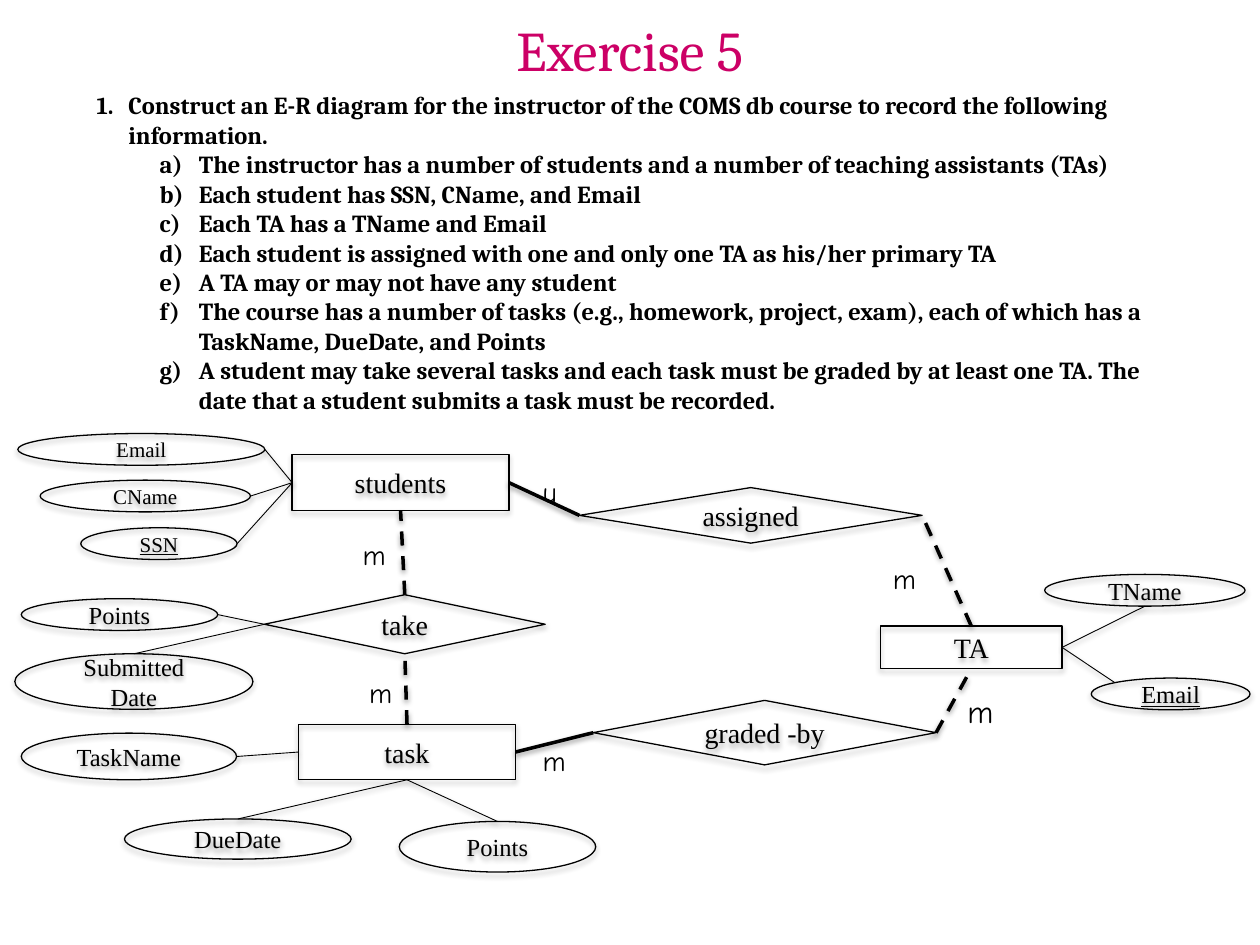
import pptx
import pptx.util
import pptx.dml.color
import pptx.enum.dml
import pptx.enum.shapes
import pptx.enum.text
import pptx.oxml
import pptx.oxml.ns

Cm = pptx.util.Cm
Pt = pptx.util.Pt
Shape = pptx.enum.shapes.MSO_SHAPE
Align = pptx.enum.text.PP_ALIGN
Anchor = pptx.enum.text.MSO_ANCHOR
COLORS = {"ink": "000000", "title": "CC0066"}
SERIF = "Times New Roman"
TOP, LEFT, BOTTOM, RIGHT = range(4)


def write(box, text, font=SERIF, size=16, color="ink", bold=False,
          underline=False, align=Align.CENTER, anchor=Anchor.MIDDLE):
    frame = box.text_frame
    frame.word_wrap = True
    frame.auto_size = pptx.enum.text.MSO_AUTO_SIZE.NONE
    frame.vertical_anchor = anchor
    for index, line in enumerate(text.split("\n")):
        para = frame.add_paragraph() if index else frame.paragraphs[0]
        para.alignment = align
        span = para.add_run()
        span.text = line
        span.font.name = font
        span.font.size = Pt(size)
        span.font.bold = bold
        span.font.underline = underline
        span.font.color.rgb = pptx.dml.color.RGBColor.from_string(COLORS[color])
    return frame


def outline(shape, width, distance, opacity):
    shape.line.color.rgb = pptx.dml.color.RGBColor.from_string(COLORS["ink"])
    shape.line.width = Pt(width)
    shape.element.spPr.append(pptx.oxml.parse_xml(
        f'<a:effectLst {pptx.oxml.ns.nsdecls("a")}>'
        f'<a:outerShdw blurRad="{Pt(3.1)}" dist="{Pt(distance)}" dir="5400000" rotWithShape="0">'
        f'<a:srgbClr val="{COLORS["ink"]}"><a:alpha val="{opacity * 1000}"/></a:srgbClr>'
        '</a:outerShdw></a:effectLst>'))


deck = pptx.Presentation()
deck.slide_width, deck.slide_height = Cm(25.4), Cm(19.05)
page = deck.slides.add_slide(deck.slide_layouts[5])

title = page.shapes.title
title.left, title.top, title.width, title.height = Cm(1.9), Cm(0.43), Cm(21.6), Cm(1.12)
write(title, "Exercise 5", font="Cambria", size=32, color="title")

requirements = [
    "Construct an E-R diagram for the instructor of the COMS db course to record the following information.",
    "The instructor has a number of students and a number of teaching assistants (TAs)",
    "Each student has SSN, CName, and Email",
    "Each TA has a TName and Email",
    "Each student is assigned with one and only one TA as his/her primary TA",
    "A TA may or may not have any student",
    "The course has a number of tasks (e.g., homework, project, exam), each of which has a TaskName, DueDate, and Points",
    "A student may take several tasks and each task must be graded by at least one TA. "
    "The date that a student submits a task must be recorded.",
]
box = page.shapes.add_textbox(Cm(1.7), Cm(1.7), Cm(22.02), Cm(6.83))
frame = write(box, "\n".join(requirements), font="Cambria", size=14, bold=True,
              align=Align.LEFT, anchor=Anchor.TOP)
for index, para in enumerate(frame.paragraphs):
    para.level = 1 if index else 0
    margin, hanging, numbering = (2.06, 0.79, "alphaLcParenR") if index else (0.64, 0.64, "arabicPeriod")
    properties = para._p.get_or_add_pPr()
    properties.set("marL", str(Cm(margin)))
    properties.set("indent", str(-Cm(hanging)))
    properties.append(pptx.oxml.parse_xml(
        f'<a:buFont {pptx.oxml.ns.nsdecls("a")} typeface="+mj-lt"/>'))
    properties.append(pptx.oxml.parse_xml(
        f'<a:buAutoNum {pptx.oxml.ns.nsdecls("a")} type="{numbering}"/>'))

nodes = [
    ("students", "students", Shape.RECTANGLE, 5.89, 9.17, 4.37, 1.12, 16),
    ("ta", "TA", Shape.RECTANGLE, 17.75, 12.62, 3.66, 0.86, 16),
    ("task", "task", Shape.RECTANGLE, 6.02, 14.6, 4.37, 1.12, 16),
    ("take", "take", Shape.DIAMOND, 5.33, 11.99, 5.66, 1.19, 16),
    ("graded", "graded -by", Shape.DIAMOND, 11.96, 14.12, 6.91, 1.3, 16),
    ("assigned", "assigned", Shape.DIAMOND, 11.68, 9.83, 6.91, 1.12, 16),
    ("student email", "Email", Shape.OVAL, 0.36, 8.74, 4.98, 0.64, 12),
    ("cname", "CName", Shape.OVAL, 0.81, 9.68, 4.24, 0.64, 12),
    ("ssn", "SSN", Shape.OVAL, 1.63, 10.64, 3.15, 0.64, 12),
    ("tname", "TName", Shape.OVAL, 21.06, 11.58, 4.04, 0.64, 14),
    ("ta email", "Email", Shape.OVAL, 22, 13.67, 3.2, 0.64, 14),
    ("due date", "DueDate", Shape.OVAL, 2.51, 16.51, 4.57, 0.81, 14),
    ("submitted", "Submitted\nDate", Shape.OVAL, 0.3, 13.18, 4.8, 1.12, 14),
    ("take points", "Points", Shape.OVAL, 0.43, 12.07, 3.96, 0.64, 14),
    ("task name", "TaskName", Shape.OVAL, 0.43, 14.78, 4.34, 0.94, 14),
    ("task points", "Points", Shape.OVAL, 8.05, 16.56, 3.96, 1.02, 14),
]
shapes = {}
for name, text, kind, left, top, width, height, size in nodes:
    shape = page.shapes.add_shape(kind, Cm(left), Cm(top), Cm(width), Cm(height))
    shape.fill.background()
    outline(shape, 0.75, 1.8, 35)
    write(shape, text, size=size, underline=name in ("ssn", "ta email"))
    shapes[name] = shape

relations = [
    ("students", RIGHT, "assigned", LEFT, False),
    ("take", TOP, "students", BOTTOM, True),
    ("task", RIGHT, "graded", LEFT, False),
    ("graded", RIGHT, "ta", BOTTOM, True),
    ("ta", TOP, "assigned", RIGHT, True),
    ("task", TOP, "take", BOTTOM, True),
]
for start, start_side, end, end_side, dashed in relations:
    line = page.shapes.add_connector(pptx.enum.shapes.MSO_CONNECTOR.STRAIGHT, 0, 0, 0, 0)
    line.begin_connect(shapes[start], start_side)
    line.end_connect(shapes[end], end_side)
    outline(line, 2, 1.6, 38)
    if dashed:
        line.line.dash_style = pptx.enum.dml.MSO_LINE.DASH

attributes = [
    ("students", LEFT, "student email", 1, 0.5),
    ("students", LEFT, "cname", 1, 0.5),
    ("students", LEFT, "ssn", 1, 0.5),
    ("ta", RIGHT, "tname", 0.5, 1),
    ("ta", RIGHT, "ta email", 0.15, 0.15),
    ("take", LEFT, "take points", 1, 0.5),
    ("take", LEFT, "submitted", 0.5, 0),
    ("task", LEFT, "task name", 1, 0.5),
    ("task", BOTTOM, "due date", 0.5, 0),
    ("task", BOTTOM, "task points", 0.5, 0),
]
for owner, side, name, across, down in attributes:
    oval = shapes[name]
    line = page.shapes.add_connector(
        pptx.enum.shapes.MSO_CONNECTOR.STRAIGHT, 0, 0,
        oval.left + int(oval.width * across), oval.top + int(oval.height * down))
    line.begin_connect(shapes[owner], side)
    outline(line, 0.5, 1.6, 38)

cardinalities = [
    ("m", 10.69, 14.86, 1.27, 16),
    ("m", 19.25, 13.82, 1.32, 18),
    ("m", 17.75, 11.2, 0.97, 16),
    ("m", 7.06, 10.72, 0.86, 16),
    ("u", 10.69, 9.45, 1.37, 16),
    ("m", 7.19, 13.49, 0.97, 16),
]
for text, left, top, width, size in cardinalities:
    box = page.shapes.add_textbox(Cm(left), Cm(top), Cm(width), Cm(0.94))
    write(box, text, font="Comic Neue", size=size, align=Align.LEFT, anchor=Anchor.TOP)

deck.save("out.pptx")
